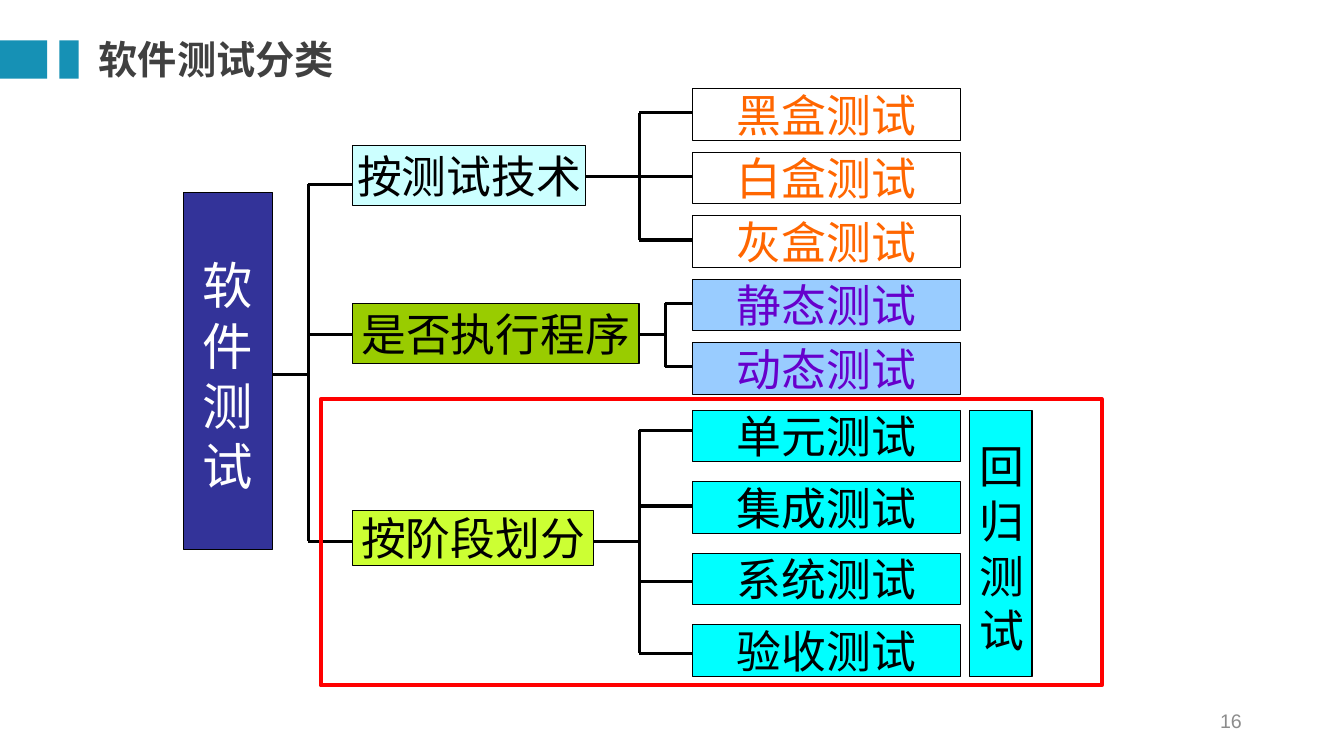
from dataclasses import dataclass

from lxml import etree
from pptx import Presentation
from pptx.dml.color import RGBColor
from pptx.enum.shapes import MSO_CONNECTOR, MSO_SHAPE
from pptx.enum.text import MSO_ANCHOR, PP_ALIGN
from pptx.oxml.ns import qn
from pptx.util import Pt

RECT = MSO_SHAPE.RECTANGLE
STRAIGHT = MSO_CONNECTOR.STRAIGHT
MIDDLE = MSO_ANCHOR.MIDDLE
LEFT, CENTER, RIGHT = PP_ALIGN.LEFT, PP_ALIGN.CENTER, PP_ALIGN.RIGHT


@dataclass(frozen=True)
class Theme:
    cjk: str = "Noto Sans CJK SC"
    latin: str = "Arial"
    black: str = "000000"
    white: str = "FFFFFF"
    accent: str = "1691B5"
    title: str = "404040"
    number: str = "8C8C8C"
    root: str = "333399"
    technique: str = "CCFFFF"
    execution: str = "99CC00"
    stage: str = "CCFF33"
    static: str = "99CCFF"
    cyan: str = "00FFFF"
    orange: str = "FF6600"
    purple: str = "6600CC"
    red: str = "FF0000"
    root_size: float = 36
    node_size: float = 32
    title_size: float = 28
    number_size: float = 14


T = Theme()

# Each branch: label, fill, top, width, height, tie in, tie out, trunk x,
# first leaf top, leaf pitch, leaf fill, leaf colour, leaves as (label, tie y)
BRANCHES = [
    ("按测试技术", T.technique, 40.3, 166.3, 43.2, 68.4, 62.6, 325.5,
     0, 45.4, T.white, T.orange,
     [("黑盒测试", 17.2), ("白盒测试", 62.6), ("灰盒测试", 108)]),
    ("是否执行程序", T.execution, 153.3, 204.5, 43.2, 175.6, 175.6, 344.2,
     136, 45.4, T.static, T.purple,
     [("静态测试", 153.3), ("动态测试", 198.7)]),
    ("按阶段划分", T.stage, 300.9, 172.1, 39.6, 323.2, 323.2, 325.5,
     229.6, 51.1, T.cyan, T.black,
     [("单元测试", 244), ("集成测试", 298), ("系统测试", 352), ("验收测试", 403.2)]),
]


def add_rect(s, x, y, w, h, fill=None, line=None, weight=0.75):
    sp = s.shapes.add_shape(RECT, Pt(x), Pt(y), Pt(w), Pt(h))
    sp.shadow.inherit = False
    if fill:
        sp.fill.solid()
        sp.fill.fore_color.rgb = RGBColor.from_string(fill)
    else:
        sp.fill.background()
    if line:
        sp.line.color.rgb = RGBColor.from_string(line)
        sp.line.width = Pt(weight)
    else:
        sp.line.fill.background()
    return sp


def add_line(s, x1, y1, x2, y2):
    c = s.shapes.add_connector(STRAIGHT, Pt(x1), Pt(y1), Pt(x2), Pt(y2))
    c.line.color.rgb = RGBColor.from_string(T.black)
    c.line.width = Pt(2.25)
    etree.SubElement(c._element.spPr, qn("a:effectLst"))


def set_text(sp, text, size, color, align=CENTER, font=T.cjk, bold=False,
             side=0, top=3.6, bottom=3.6, wrap=True, spacing=None):
    tf = sp.text_frame
    tf.word_wrap = wrap
    tf.vertical_anchor = MIDDLE
    tf.margin_left = tf.margin_right = Pt(side)
    tf.margin_top, tf.margin_bottom = Pt(top), Pt(bottom)
    p = tf.paragraphs[0]
    p.alignment = align
    if spacing:
        p.line_spacing = Pt(spacing)
    r = p.add_run()
    r.text = text
    r.font.size = Pt(size)
    r.font.bold = bold
    r.font.color.rgb = RGBColor.from_string(color)
    r.font.name = font
    etree.SubElement(r._r.get_or_add_rPr(), qn("a:ea"), typeface=font)


def add_header(s, x, y, w, h):
    # Accent bars and title
    for left, width in ((0, 33.8), (42.5, 13.7)):
        add_rect(s, x + left, y + 6.5, width, 27.4, T.accent)
    tb = s.shapes.add_textbox(Pt(x + 70.6), Pt(y), Pt(w - 70.6), Pt(h))
    set_text(tb, "软件测试分类", T.title_size, T.title, LEFT, bold=True,
             top=0, bottom=0)


def add_branch(s, x, y, branch):
    (label, fill, top, width, height, tie_in, tie_out, trunk,
     leaf_top, pitch, leaf_fill, leaf_color, leaves) = branch
    spine_x, branch_x, leaf_x = x + 89.3, x + 121, x + 363.6
    trunk_x = x + trunk

    sp = add_rect(s, branch_x, y + top, width, height, fill, T.black)
    set_text(sp, label, T.node_size, T.black, wrap=False)

    # Ties from the spine to the branch and on to its trunk
    add_line(s, spine_x, y + tie_in, branch_x, y + tie_in)
    add_line(s, branch_x + width, y + tie_out, trunk_x, y + tie_out)
    add_line(s, trunk_x, y + leaves[0][1], trunk_x, y + leaves[-1][1])

    # Leaves
    for i, (leaf, tie) in enumerate(leaves):
        sp = add_rect(s, leaf_x, y + leaf_top + i * pitch, 191.5, 36.7,
                      leaf_fill, T.black)
        set_text(sp, leaf, T.node_size, leaf_color, wrap=False)
        add_line(s, trunk_x, y + tie, leaf_x, y + tie)


def add_tree(s, x, y, w, h):
    # Root and spine
    root = add_rect(s, x, y + 74.1, 64, 254.9, T.root, T.black)
    set_text(root, "软件测试", T.root_size, T.white, top=9.6, spacing=43)
    add_line(s, x + 64, y + 204.4, x + 89.3, y + 204.4)
    add_line(s, x + 89.3, y + BRANCHES[0][5], x + 89.3, y + BRANCHES[-1][5])

    for branch in BRANCHES:
        add_branch(s, x, y, branch)

    # Regression testing spans all stages
    sp = add_rect(s, x + w - 44.6, y + 229.6, 44.6, h - 229.6, T.cyan, T.black)
    set_text(sp, "回归测试", T.node_size, T.black, LEFT, side=7.2,
             top=9.6, spacing=39)


def add_page_number(s, x, y, w, h):
    tb = s.shapes.add_textbox(Pt(x), Pt(y), Pt(w), Pt(h))
    set_text(tb, "16", T.number_size, T.number, RIGHT, T.latin, side=7.2)


def main():
    prs = Presentation()
    prs.slide_width, prs.slide_height = Pt(960), Pt(540)
    s = prs.slides.add_slide(prs.slide_layouts[6])
    add_tree(s, 131, 63.4, 606.2, 419.7)
    add_header(s, 0, 22.3, 383, 39.6)
    add_page_number(s, 678.2, 500.4, 216, 28.8)
    # Frame around the stages
    add_rect(s, 229, 285.1, 558, 204.5, line=T.red, weight=2.75)
    prs.save("out.pptx")


if __name__ == "__main__":
    main()
